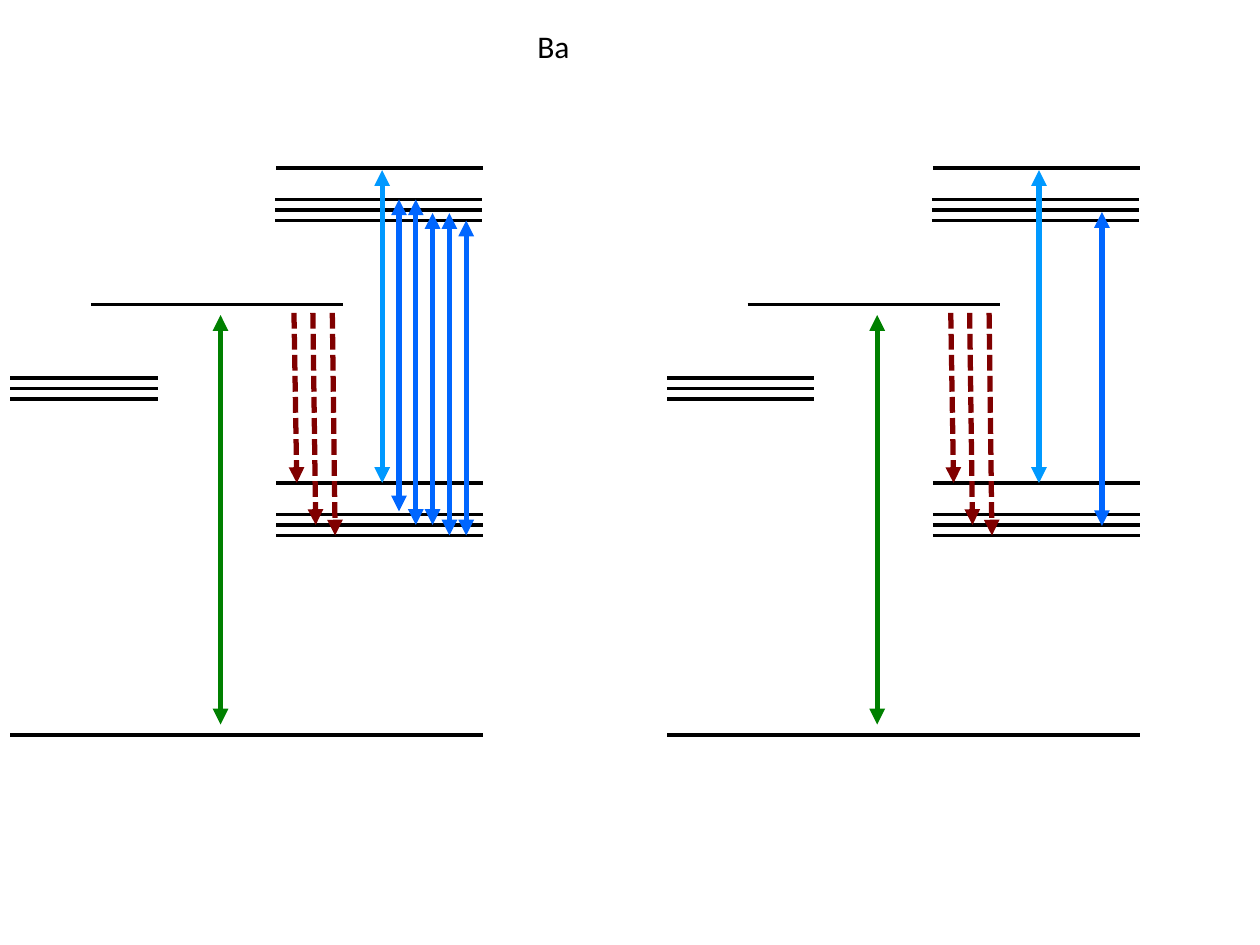
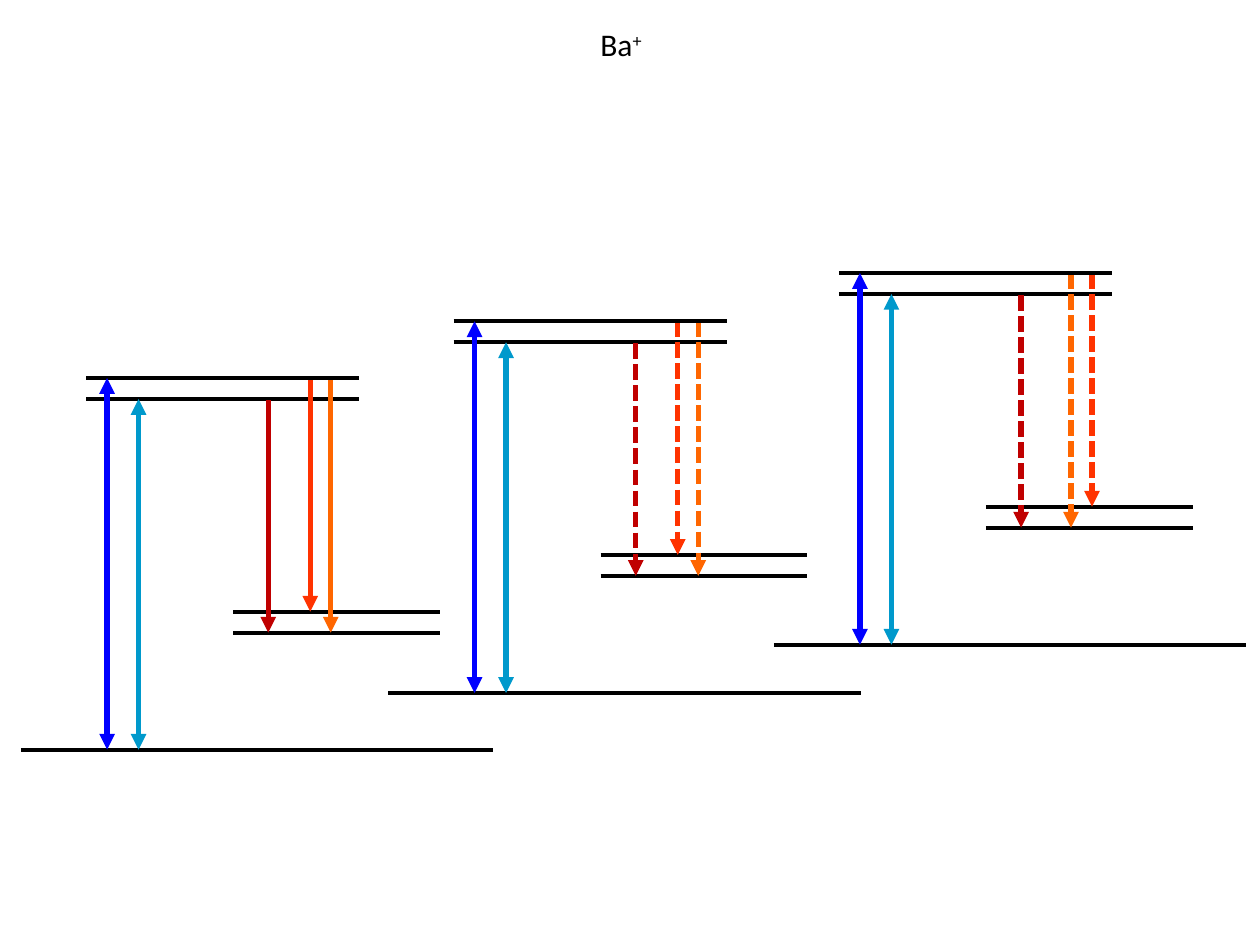
import pptx
import pptx.dml.color
import pptx.enum.dml
import pptx.enum.shapes
import pptx.enum.text
import pptx.oxml.ns
import pptx.util
from lxml import etree

COLORS = {
    "black": "000000", "green": "008000", "maroon": "800000",
    "sky": "0099FF", "azure": "0066FF",
    "blue": "0000FF", "teal": "0099CC",
    "crimson": "C00000", "red": "FF3300", "orange": "FF6600",
}


class Diagram:
    """Style and current slide; lengths are on a grid of 120 columns by 90 rows."""
    COLUMNS, ROWS = 120, 90
    FONT, TITLE_SIZE = "Calibri", 18
    BAR_WIDTH, ARROW_WIDTH = 2.25, 3

    def __init__(self):
        self.deck = pptx.Presentation()
        self.deck.slide_width = pptx.util.Inches(10)
        self.deck.slide_height = pptx.util.Inches(7.5)
        self.slide = None
        self.origin = (0, 0)

    def new_slide(self):
        self.slide = self.deck.slides.add_slide(self.deck.slide_layouts[6])

    def x(self, column):
        return round(self.deck.slide_width * column / self.COLUMNS)

    def y(self, row):
        return round(self.deck.slide_height * row / self.ROWS)

    def title(self, column, row, width, text, superscript=""):
        box = self.slide.shapes.add_textbox(
            self.x(column), self.y(row), self.x(width), self.y(4.8))
        frame = box.text_frame
        frame.word_wrap = False
        frame.auto_size = pptx.enum.text.MSO_AUTO_SIZE.SHAPE_TO_FIT_TEXT
        label = frame.paragraphs[0]
        label.font.name = self.FONT
        label.font.size = pptx.util.Pt(self.TITLE_SIZE)
        label.font.color.rgb = pptx.dml.color.RGBColor.from_string(COLORS["black"])
        label.add_run().text = text
        if superscript:
            raised = label.add_run()
            raised.text = superscript
            raised._r.get_or_add_rPr().set("baseline", "30000")

    def line(self, start, end, color, width):
        left, top = self.origin
        line = self.slide.shapes.add_connector(
            pptx.enum.shapes.MSO_CONNECTOR.STRAIGHT,
            self.x(left + start[0]), self.y(top + start[1]),
            self.x(left + end[0]), self.y(top + end[1]))
        line.line.color.rgb = pptx.dml.color.RGBColor.from_string(COLORS[color])
        line.line.width = pptx.util.Pt(width)
        etree.SubElement(line._element.spPr, pptx.oxml.ns.qn("a:effectLst"))
        return line

    def bars(self, left, right, *rows):
        for row in rows:
            self.line((left, row), (right, row), "black", self.BAR_WIDTH)

    def arrow(self, column, start, end, color, both=False, dashed=False, drift=0):
        arrow = self.line((column, start), (column + drift, end), color, self.ARROW_WIDTH)
        if dashed:
            arrow.line.dash_style = pptx.enum.dml.MSO_LINE.SQUARE_DOT
        outline = arrow.line._get_or_add_ln()
        for tip in ("headEnd", "tailEnd") if both else ("tailEnd",):
            etree.SubElement(outline, pptx.oxml.ns.qn("a:" + tip), type="triangle")


def draw_ba(diagram, left, azure_arrows):
    diagram.origin = (left, 0)
    # Black bars
    diagram.bars(1, 46, 70)
    diagram.bars(1, 15, 36, 37, 38)
    diagram.bars(8.65, 32.65, 29)
    diagram.bars(26.3, 46, 49, 50, 51, 46)
    diagram.bars(26.3, 46, 16)
    diagram.bars(26.2, 45.9, 19, 20, 21)
    # Green arrow and dashed maroon arrows
    diagram.arrow(21, 69, 30, "green", both=True)
    for column, end in ((28, 46), (29.8, 50), (31.65, 51)):
        diagram.arrow(column, 29.8, end, "maroon", dashed=True, drift=0.27)
    # Sky and azure arrows
    diagram.arrow(36.4, 46, 16.2, "sky", both=True)
    for column, start, end in azure_arrows:
        diagram.arrow(column, start, end, "azure", both=True)


def draw_ba_plus(diagram, left, top, dashed, red_column, orange_column):
    diagram.origin = (left, top)
    top_bar, second_bar, third_bar, fourth_bar, bottom_bar = 0, 2, 22.25, 24.25, 35.4
    diagram.bars(0, 45, bottom_bar)
    diagram.bars(20.2, 39.9, third_bar, fourth_bar)
    diagram.bars(6.2, 32.2, second_bar)
    diagram.arrow(23.55, second_bar + 0.1, fourth_bar, "crimson", dashed=dashed)
    diagram.arrow(red_column, top_bar, third_bar, "red", dashed=dashed)
    diagram.arrow(11.2, bottom_bar, second_bar, "teal", both=True)
    diagram.arrow(orange_column, top_bar, fourth_bar, "orange", dashed=dashed)
    diagram.bars(6.2, 32.2, top_bar)
    diagram.arrow(8.2, bottom_bar, top_bar, "blue", both=True)


diagram = Diagram()

# Slide 1: Ba, five azure arrows on the left and one on the right
diagram.new_slide()
azure_ends = ((48.7, 19), (50, 19), (50, 20.3), (51, 20.3), (51, 21))
draw_ba(diagram, 0, [(38 + 1.6 * i, *ends) for i, ends in enumerate(azure_ends)])
draw_ba(diagram, 62.55, [(42.4, 50.1, 20.2)])
diagram.title(50, 2, 5.5, "Ba")

# Slide 2: Ba+, three diagrams rising to the right
diagram.new_slide()
diagram.title(56, 1.8, 6.5, "Ba", "+")
draw_ba_plus(diagram, 2, 36, False, 27.55, 29.5)
draw_ba_plus(diagram, 37, 30.6, True, 27.55, 29.5)
draw_ba_plus(diagram, 73.7, 26, True, 30.3, 28.3)

diagram.deck.save("out.pptx")
